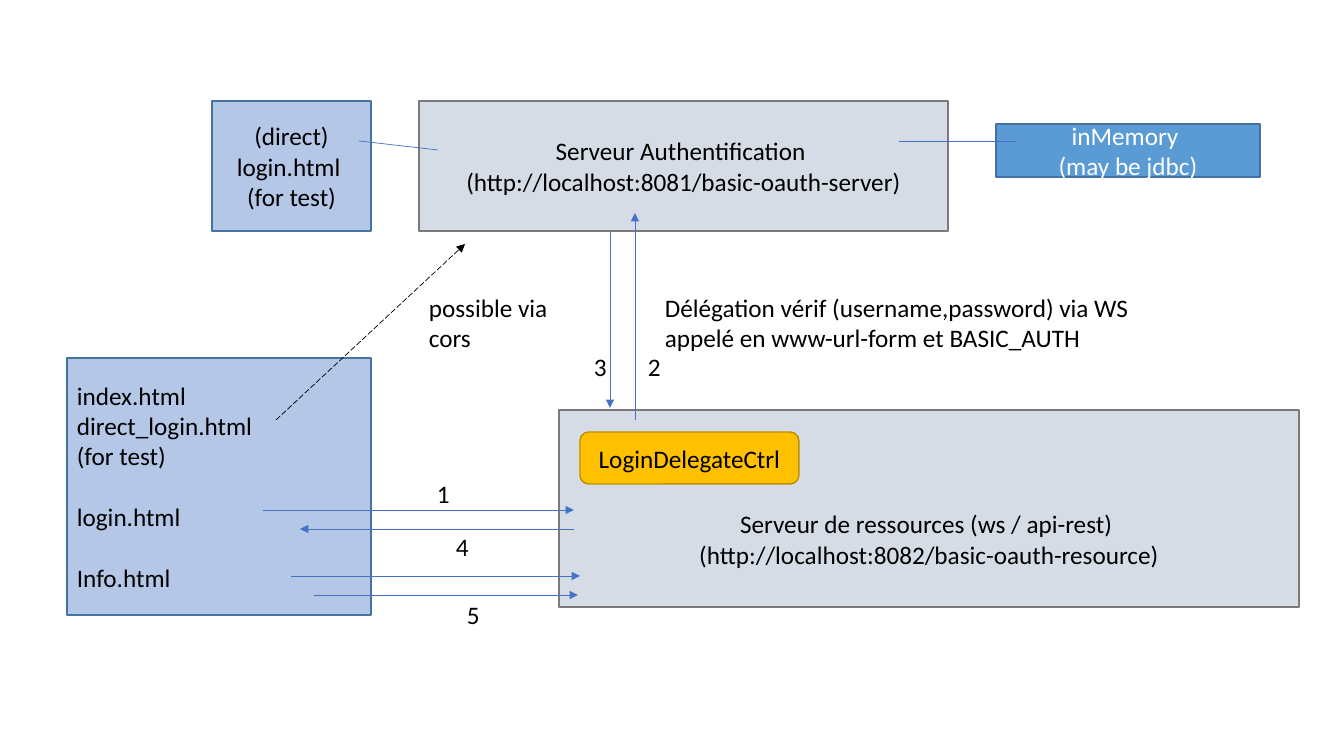
from collections import namedtuple

from lxml import etree
from pptx import Presentation
from pptx.dml.color import RGBColor
from pptx.enum.dml import MSO_LINE
from pptx.enum.shapes import MSO_CONNECTOR, MSO_SHAPE
from pptx.enum.text import MSO_ANCHOR, PP_ALIGN
from pptx.oxml.ns import qn
from pptx.util import Pt

RECTANGLE = MSO_SHAPE.RECTANGLE
ROUNDED = MSO_SHAPE.ROUNDED_RECTANGLE
STRAIGHT = MSO_CONNECTOR.STRAIGHT
LONG_DASH = MSO_LINE.LONG_DASH
MIDDLE, TOP = MSO_ANCHOR.MIDDLE, MSO_ANCHOR.TOP
CENTER, LEFT = PP_ALIGN.CENTER, PP_ALIGN.LEFT

SCALE = 914400 / 100.8
LINE_HEIGHT = 22
COLORS = {
    "text": "000000", "light_text": "FFFFFF", "link": "4472C4",
    "server": "D6DCE5", "server_edge": "7A7A7A",
    "client": "B4C7E7", "blue_edge": "43739E", "store": "5B9BD5",
    "controller": "FFC000", "controller_edge": "BD8E00",
}
Box = namedtuple("Box", "left top width height")


def emu(pixels):
    return round(pixels * SCALE)


def color(name):
    return RGBColor.from_string(COLORS[name])


def inside(box, left, top, width, height):
    return Box(box.left + left, box.top + top, width, height)


def write(shape, lines, align=LEFT, anchor=TOP, ink="text"):
    frame = shape.text_frame
    frame.word_wrap = True
    frame.vertical_anchor = anchor
    frame.text = "\n".join(lines)
    for para in frame.paragraphs:
        para.alignment = align
        para.font.name = "Calibri"
        para.font.size = Pt(18)
        para.font.color.rgb = color(ink)
    return frame


def add_block(page, box, lines, fill, edge, align=CENTER, ink="text", preset=RECTANGLE):
    shape = page.shapes.add_shape(preset, *map(emu, box))
    shape.shadow.inherit = False
    shape.fill.solid()
    shape.fill.fore_color.rgb = color(fill)
    shape.line.color.rgb = color(edge)
    shape.line.width = Pt(1)
    return write(shape, lines, align, MIDDLE, ink)


def add_label(page, box, lines):
    return write(page.shapes.add_textbox(*map(emu, box)), lines)


def add_link(page, box, start, end, ink="link", arrow=True, dash=None):
    points = [emu(origin + offset) for point in (start, end)
              for origin, offset in zip(box, point)]
    link = page.shapes.add_connector(STRAIGHT, *points)
    link.line.color.rgb = color(ink)
    link.line.width = Pt(0.5)
    if dash:
        link.line.dash_style = dash
    if arrow:
        etree.SubElement(link.line._get_or_add_ln(), qn("a:tailEnd"), type="triangle")
    etree.SubElement(link._element.spPr, qn("a:effectLst"))


def authentication_region(page, box):
    add_block(page, inside(box, 0, 0, 159, box.height),
              ["(direct)", "login.html ", "(for test)"], "client", "blue_edge")
    add_block(page, inside(box, 207, 0, 529, box.height),
              ["Serveur Authentification ", "(http://localhost:8081/basic-oauth-server)"],
              "server", "server_edge")
    add_block(page, inside(box, 784, 23, 264, 53), ["inMemory ", "(may be jdbc)"],
              "store", "blue_edge", ink="light_text")
    add_link(page, box, (147, 40), (226, 49), arrow=False)
    add_link(page, box, (687, 40), (804, 40), arrow=False)


def resource_region(page, box):
    frame = add_block(page, box, ["Serveur de ressources (ws / api-rest) ",
                                  "(http://localhost:8082/basic-oauth-resource)"],
                      "server", "server_edge")
    frame.margin_top = emu(66)
    add_block(page, inside(box, 21, 22, 219, 52), ["LoginDelegateCtrl"],
              "controller", "controller_edge", preset=ROUNDED)


def client_region(page, box):
    frame = add_block(page, box, ["index.html", "direct_login.html ", "(for test)",
                                  "login.html", "Info.html"],
                      "client", "blue_edge", align=LEFT)
    for para in frame.paragraphs[3:]:
        para.space_before = Pt(LINE_HEIGHT)


def exchange_region(page, box):
    for start, end in [
        ((0, 297), (311, 297)),
        ((372, 207), (372, 0)),
        ((347, 19), (347, 195)),
        ((311, 316), (37, 316)),
        ((28, 363), (317, 363)),
        ((51, 382), (315, 382)),
    ]:
        add_link(page, box, start, end)
    add_link(page, box, (13, 207), (202, 31), ink="text", dash=LONG_DASH)

    steps = [(164, 260, 37), (375, 133, 23), (321, 133, 47), (183, 313, 23), (194, 381, 23)]
    for number, (left, top, width) in enumerate(steps, 1):
        add_label(page, inside(box, left, top, width, 40), [str(number)])
    add_label(page, inside(box, 156, 74, 140, 72), ["possible via", "cors"])
    add_label(page, inside(box, 392, 74, 508, 72),
              ["Délégation vérif (username,password) via WS "
               "appelé en www-url-form et BASIC_AUTH"])


deck = Presentation()
deck.slide_width, deck.slide_height = emu(1344), emu(756)
page = deck.slides.add_slide(deck.slide_layouts[6])
authentication_region(page, Box(212, 101, 1048, 130))
resource_region(page, Box(559, 410, 740, 197))
client_region(page, Box(67, 358, 304, 257))
exchange_region(page, Box(263, 213, 900, 421))
deck.save("out.pptx")
